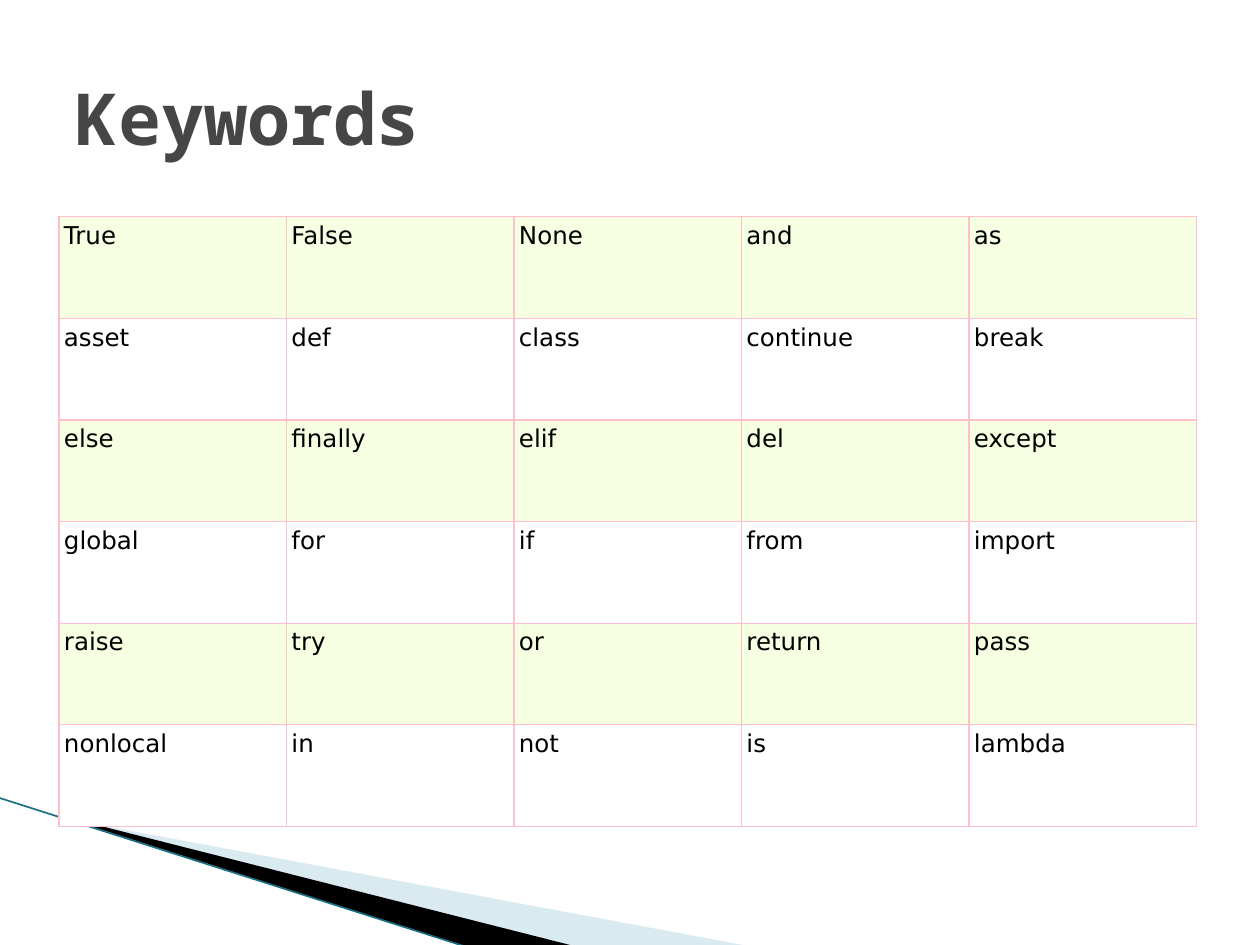
import pptx
import pptx.dml.color
import pptx.enum.shapes
import pptx.enum.text
import pptx.oxml
import pptx.oxml.ns
import pptx.util
from lxml import etree

Cm = pptx.util.Cm
Pt = pptx.util.Pt
qn = pptx.oxml.ns.qn

WORDS = [
    "True False None and as",
    "asset def class continue break",
    "else finally elif del except",
    "global for if from import",
    "raise try or return pass",
    "nonlocal in not is lambda",
]


def color(code):
    """Return the colour for a hex string."""
    return pptx.dml.color.RGBColor.from_string(code)


def style(para, font, size, code, bold=False):
    """Set the font of a paragraph."""
    para.font.name = font
    para.font.size = Pt(size)
    para.font.bold = bold
    para.font.color.rgb = color(code)


def reframe(shape, frame):
    """Give an outline a new frame while its points stay in place."""
    left, top, width, height = map(Cm, frame)
    dx, dy = shape.left - left, shape.top - top
    shape.left, shape.top, shape.width, shape.height = left, top, width, height
    track = shape._element.spPr.find(".//" + qn("a:path"))
    track.set("w", str(width))
    track.set("h", str(height))
    for spot in track.iter(qn("a:pt")):
        spot.set("x", str(int(spot.get("x")) + dx))
        spot.set("y", str(int(spot.get("y")) + dy))


def wedge(slide, frame, points, code, alpha=100):
    """Draw a filled outline through points given in centimetres."""
    spots = [(Cm(x), Cm(y)) for x, y in points]
    pen = slide.shapes.build_freeform(*spots[0])
    pen.add_line_segments(spots[1:], close=True)
    shape = pen.convert_to_shape()
    reframe(shape, frame)
    shape.shadow.inherit = False
    shape.fill.solid()
    shape.fill.fore_color.rgb = color(code)
    shape.line.fill.background()
    if alpha < 100:
        tint = shape.fill._xPr.find(".//" + qn("a:srgbClr"))
        etree.SubElement(tint, qn("a:alpha"), val=str(alpha * 1000))


def stroke(slide, start, end, code, width):
    """Draw a straight line between two points in centimetres."""
    kind = pptx.enum.shapes.MSO_CONNECTOR.STRAIGHT
    line = slide.shapes.add_connector(kind, *map(Cm, start + end))
    line.line.color.rgb = color(code)
    line.line.width = Pt(width)
    etree.SubElement(line._element.spPr, qn("a:effectLst"))


def title(slide, text):
    """Place and format the title."""
    box = slide.shapes.title
    box.left, box.top, box.width, box.height = map(Cm, (1.27, 0.76, 22.86, 3.18))
    frame = box.text_frame
    frame.text = text
    frame.vertical_anchor = pptx.enum.text.MSO_ANCHOR.MIDDLE
    para = frame.paragraphs[0]
    para.alignment = pptx.enum.text.PP_ALIGN.LEFT
    style(para, "Noto Sans Mono", 41, "464646", True)


def border(cell, code, width):
    """Line all four sides of a cell."""
    props = cell._tc.get_or_add_tcPr()
    for spot, side in enumerate(("lnL", "lnR", "lnT", "lnB")):
        edge = etree.Element(qn("a:" + side), w=str(Pt(width)))
        fill = etree.SubElement(edge, qn("a:solidFill"))
        etree.SubElement(fill, qn("a:srgbClr"), val=code)
        props.insert(spot, edge)


def fill_cell(cell, text, code):
    """Write and format one table cell."""
    cell.text = text
    cell.margin_left = cell.margin_right = Cm(0.1)
    cell.margin_top = cell.margin_bottom = Cm(0.1)
    cell.fill.solid()
    cell.fill.fore_color.rgb = color(code)
    para = cell.text_frame.paragraphs[0]
    para.alignment = pptx.enum.text.PP_ALIGN.JUSTIFY
    style(para, "DejaVu Sans", 14, "000000")
    border(cell, "FFC0CB", 0.75)


def grid(slide, lines):
    """Add the keyword table with alternating row fills."""
    rows = [line.split() for line in lines]
    size = len(rows), len(rows[0])
    width, height = Cm(22.93), Cm(12.29)
    table = slide.shapes.add_table(
        *size, Cm(1.19), Cm(4.37), width, height
    ).table
    for col in table.columns:
        col.width = width // size[1]
    for r, row in enumerate(rows):
        table.rows[r].height = height // size[0]
        for c, word in enumerate(row):
            fill_cell(table.cell(r, c), word, ("F6FFE1", "FFFFFF")[r % 2])


def main():
    """Build the slide and save it."""
    deck = pptx.Presentation()
    deck.slide_width, deck.slide_height = Cm(25.4), Cm(19.05)
    slide = deck.slides.add_slide(deck.slide_layouts[5])
    pale = [(1.4, 16.52), (15.13, 19.08), (11.58, 19.08), (1.4, 16.51)]
    dark = [(1.35, 16.48), (11.61, 19.08), (9.45, 19.1), (1.37, 16.51)]
    wedge(slide, (1.98, 13.89, 10.57, 4.01), pale, "A0CBDC", 40)
    wedge(slide, (-0.15, 16.08, 10.57, 2.34), dark, "000000")
    stroke(slide, (-0.03, 16.08), (9.44, 19.1), "1A6F84", 0.95)
    grid(slide, WORDS)
    title(slide, "Keywords")
    deck.save("out.pptx")


if __name__ == "__main__":
    main()
